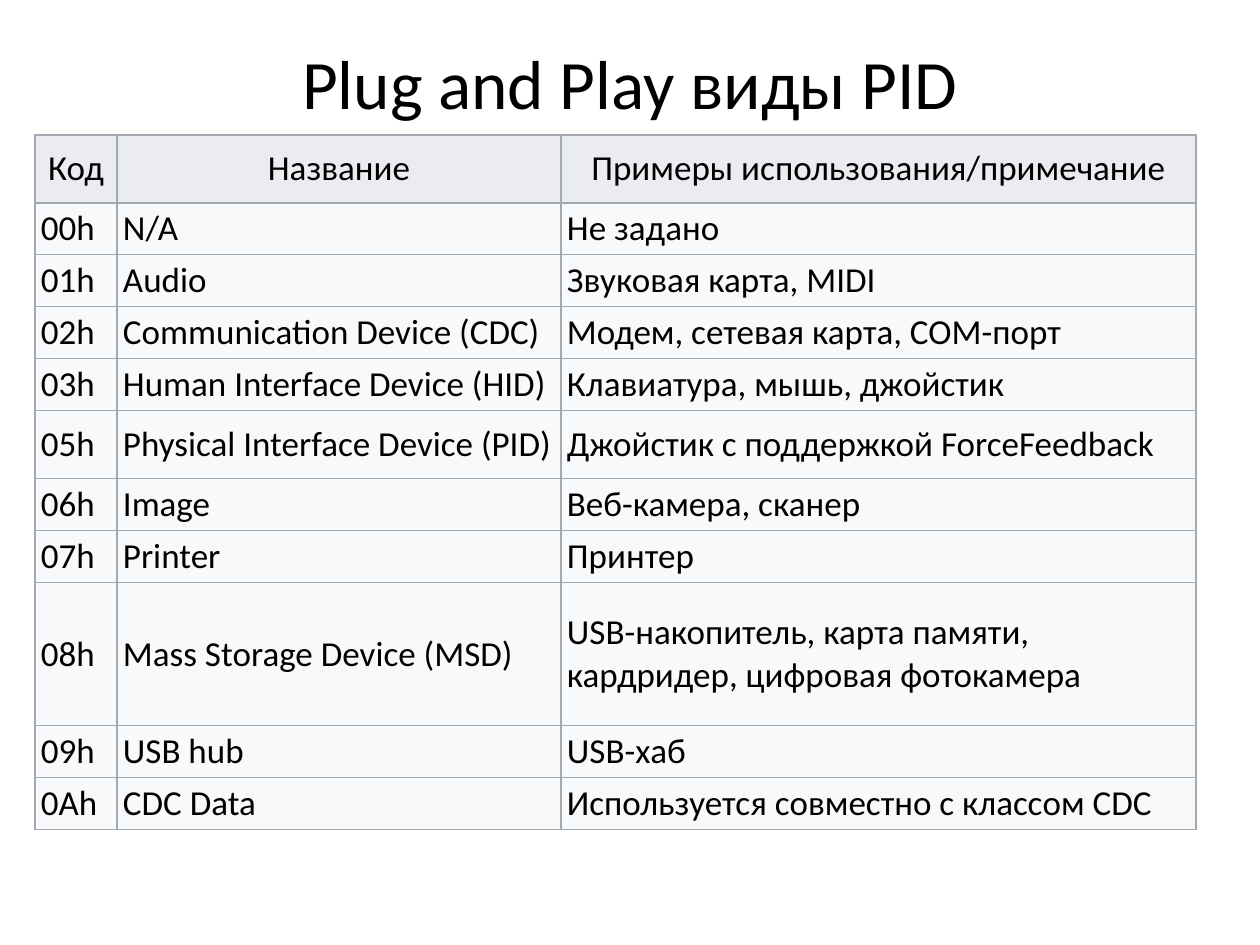
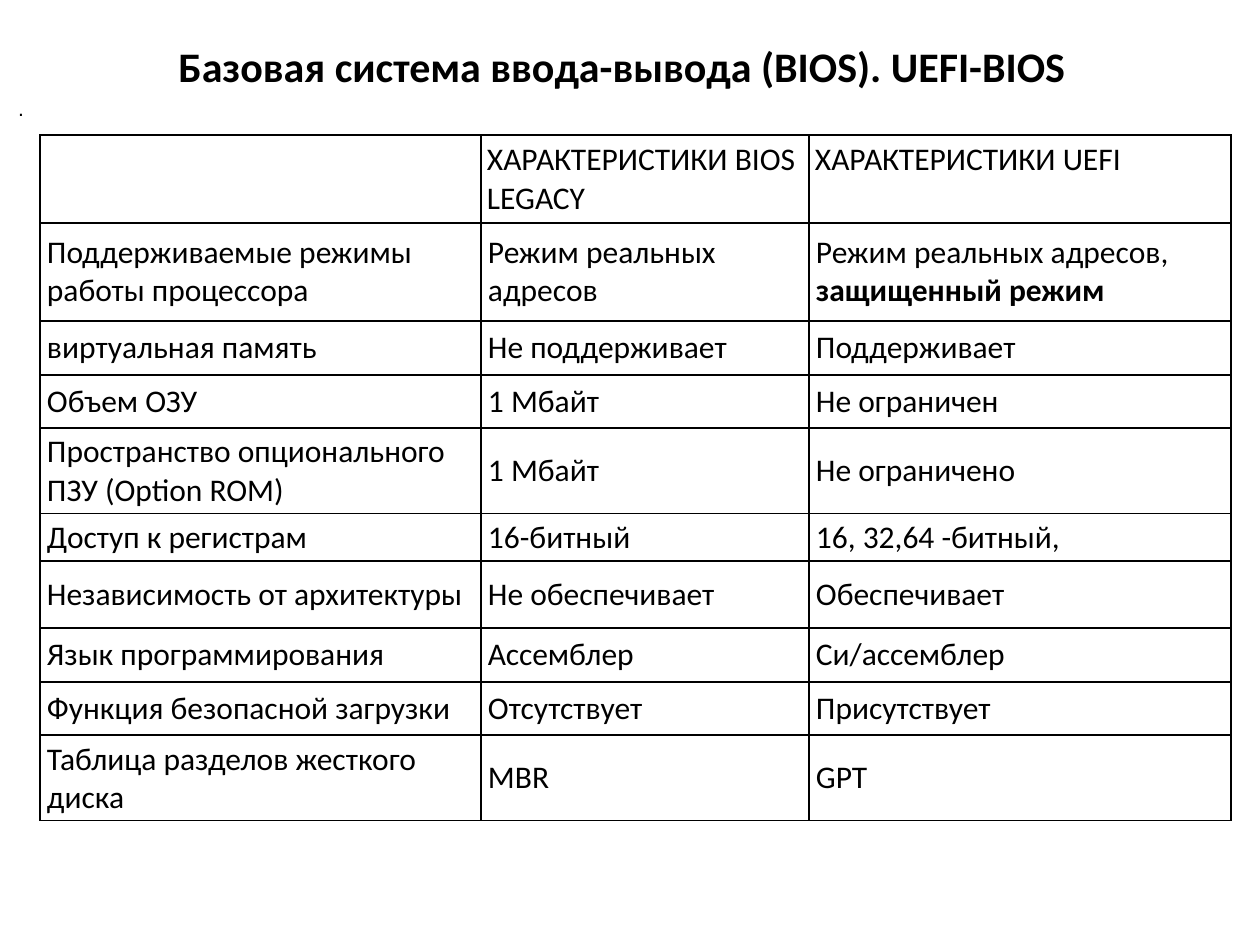
from lxml.etree import SubElement
from pptx import Presentation
from pptx.dml.color import RGBColor
from pptx.enum.shapes import MSO_SHAPE as SHAPE
from pptx.enum.text import MSO_ANCHOR as ANCHOR, MSO_AUTO_SIZE as AUTO, PP_ALIGN as ALIGN
from pptx.oxml.ns import qn
from pptx.util import Pt

PX = 914400 / 126
BLACK, WHITE = "000000", "FFFFFF"

PID_ROWS = [
    ["Код", "Название", "Примеры использования/примечание"],
    ["00h", "N/A", "Не задано"],
    ["01h", "Audio", "Звуковая карта, MIDI"],
    ["02h", "Communication Device (CDC)", "Модем, сетевая карта, COM-порт"],
    ["03h", "Human Interface Device (HID)", "Клавиатура, мышь, джойстик"],
    ["05h", "Physical Interface Device (PID)", "Джойстик с поддержкой ForceFeedback"],
    ["06h", "Image", "Веб-камера, сканер"],
    ["07h", "Printer", "Принтер"],
    ["08h", "Mass Storage Device (MSD)",
     "USB-накопитель, карта памяти, кардридер, цифровая фотокамера"],
    ["09h", "USB hub", "USB-хаб"],
    ["0Ah", "CDC Data", "Используется совместно с классом CDC"],
]
BIOS_ROWS = [
    ["", "ХАРАКТЕРИСТИКИ BIOS LEGACY", "ХАРАКТЕРИСТИКИ UEFI"],
    ["Поддерживаемые режимы работы процессора", "Режим реальных адресов",
     "Режим реальных адресов, *защищенный режим"],
    ["виртуальная память", "Не поддерживает", "Поддерживает"],
    ["Объем ОЗУ", "1 Мбайт", "Не ограничен"],
    ["Пространство опционального ПЗУ (Option ROM)", "1 Мбайт", "Не ограничено"],
    ["Доступ к регистрам", "16-битный", "16, 32,64 -битный,"],
    ["Независимость от архитектуры", "Не обеспечивает", "Обеспечивает"],
    ["Язык программирования", "Ассемблер", "Си/ассемблер"],
    ["Функция безопасной загрузки", "Отсутствует", "Присутствует"],
    ["Таблица разделов жесткого диска", "MBR", "GPT"],
]
PID_STYLE = {
    "size": 20, "line": "A2A9B1", "weight": 0.75, "head_fill": "EAECF0", "fill": "F8F9FA",
    "head": {"margins": (6, 3), "anchor": ANCHOR.MIDDLE, "align": ALIGN.CENTER},
    "body": {"margins": (6, 3), "anchor": ANCHOR.MIDDLE, "align": ALIGN.LEFT},
}
BIOS_STYLE = {
    "size": 18, "line": BLACK, "weight": 1, "head_fill": None, "fill": None,
    "head": {"margins": (6, 6), "anchor": ANCHOR.TOP, "align": ALIGN.LEFT},
    "body": {"margins": (7, 5), "anchor": ANCHOR.MIDDLE, "align": ALIGN.LEFT},
}


def px(n):
    """Turn pixels into EMU."""
    return round(n * PX)


def rgb(value):
    """Turn a hex string into a colour."""
    return RGBColor.from_string(value)


def apply(obj, values):
    """Set attributes from a dict of format values."""
    for name, value in values.items():
        setattr(obj, name, value)


def add_run(p, text, size, bold=False, font="Calibri"):
    """Append a formatted run to a paragraph."""
    r = p.add_run()
    r.text = text
    apply(r.font, {"name": font, "size": Pt(size), "bold": bold})
    r.font.color.rgb = rgb(BLACK)


def place(sp, box):
    """Move a shape to a box in pixels."""
    apply(sp, dict(zip(("left", "top", "width", "height"), map(px, box))))


def add_titled_slide(prs, text, box, size, bold=False):
    """Add a slide with its title placed and formatted."""
    slide = prs.slides.add_slide(prs.slide_layouts[5])
    title = slide.shapes.title
    place(title, box)
    tf = title.text_frame
    apply(tf, {"auto_size": AUTO.NONE, "word_wrap": True, "vertical_anchor": ANCHOR.MIDDLE})
    p = tf.paragraphs[0]
    p.alignment = ALIGN.CENTER
    add_run(p, text, size, bold)
    return slide


def add_borders(cell, color, weight):
    """Draw the four edges of a cell."""
    tc_pr = cell._tc.get_or_add_tcPr()
    for i, side in enumerate(("lnL", "lnR", "lnT", "lnB")):
        ln = SubElement(tc_pr, qn(f"a:{side}"), w=str(Pt(weight)))
        fill = SubElement(ln, qn("a:solidFill"))
        SubElement(fill, qn("a:srgbClr"), val=color)
        tc_pr.remove(ln)
        tc_pr.insert(i, ln)


def fill_cell(cell, text, style, is_head):
    """Format a cell; text after an asterisk is bold."""
    fmt = style["head" if is_head else "body"]
    mx, my = map(px, fmt["margins"])
    apply(cell, {"margin_left": mx, "margin_right": mx, "margin_top": my,
                 "margin_bottom": my, "vertical_anchor": fmt["anchor"]})
    color = style["head_fill" if is_head else "fill"]
    if color:
        cell.fill.solid()
        cell.fill.fore_color.rgb = rgb(color)
    else:
        cell.fill.background()
    p = cell.text_frame.paragraphs[0]
    p.alignment = fmt["align"]
    for i, part in enumerate(text.split("*")):
        if part:
            add_run(p, part, style["size"], bold=i == 1)
    add_borders(cell, style["line"], style["weight"])


def add_grid(slide, left, top, cols, heights, rows, style):
    """Add a table at a corner with given columns and rows."""
    box = map(px, (left, top, sum(cols), sum(heights)))
    table = slide.shapes.add_table(len(rows), len(cols), *box).table
    apply(table, {"first_row": False, "horz_banding": False})
    for col, width in zip(table.columns, cols):
        col.width = px(width)
    for i, (row, height, texts) in enumerate(zip(table.rows, heights, rows)):
        row.height = px(height)
        for cell, text in zip(row.cells, texts):
            fill_cell(cell, text, style, i == 0)


def add_dot_line(slide, box):
    """Add the thin text line under the title."""
    sp = slide.shapes.add_shape(SHAPE.RECTANGLE, *map(px, box))
    sp.shadow.inherit = False
    sp.fill.solid()
    sp.fill.fore_color.rgb = rgb(WHITE)
    sp.line.fill.background()
    tf = sp.text_frame
    apply(tf, {"word_wrap": False, "auto_size": AUTO.SHAPE_TO_FIT_TEXT,
               "vertical_anchor": ANCHOR.MIDDLE})
    p = tf.paragraphs[0]
    p.alignment = ALIGN.JUSTIFY
    add_run(p, " .", 12, font="Arial")


def build_pid_slide(prs):
    """Build the slide with the PID codes."""
    slide = add_titled_slide(prs, "Plug and Play виды PID", (87, 50, 1086, 63), 39.6)
    heights = [68] + [52] * 4 + [68, 52, 52, 143, 52, 52]
    add_grid(slide, 35, 135, (82, 444, 635), heights, PID_ROWS, PID_STYLE)


def build_bios_slide(prs):
    """Build the slide comparing BIOS and UEFI."""
    slide = add_titled_slide(prs, "Базовая система ввода-вывода (BIOS). UEFI-BIOS",
                             (55, 38, 1134, 55), 24, True)
    add_dot_line(slide, (0, 108, 1260, 0))
    heights = [88, 98, 54, 53, 85, 47, 67, 54, 53, 85]
    add_grid(slide, 40, 135, (441, 328, 422), heights, BIOS_ROWS, BIOS_STYLE)


def main():
    """Build and save the presentation."""
    prs = Presentation()
    apply(prs, {"slide_width": px(1260), "slide_height": px(945)})
    build_pid_slide(prs)
    build_bios_slide(prs)
    prs.save("out.pptx")


if __name__ == "__main__":
    main()
